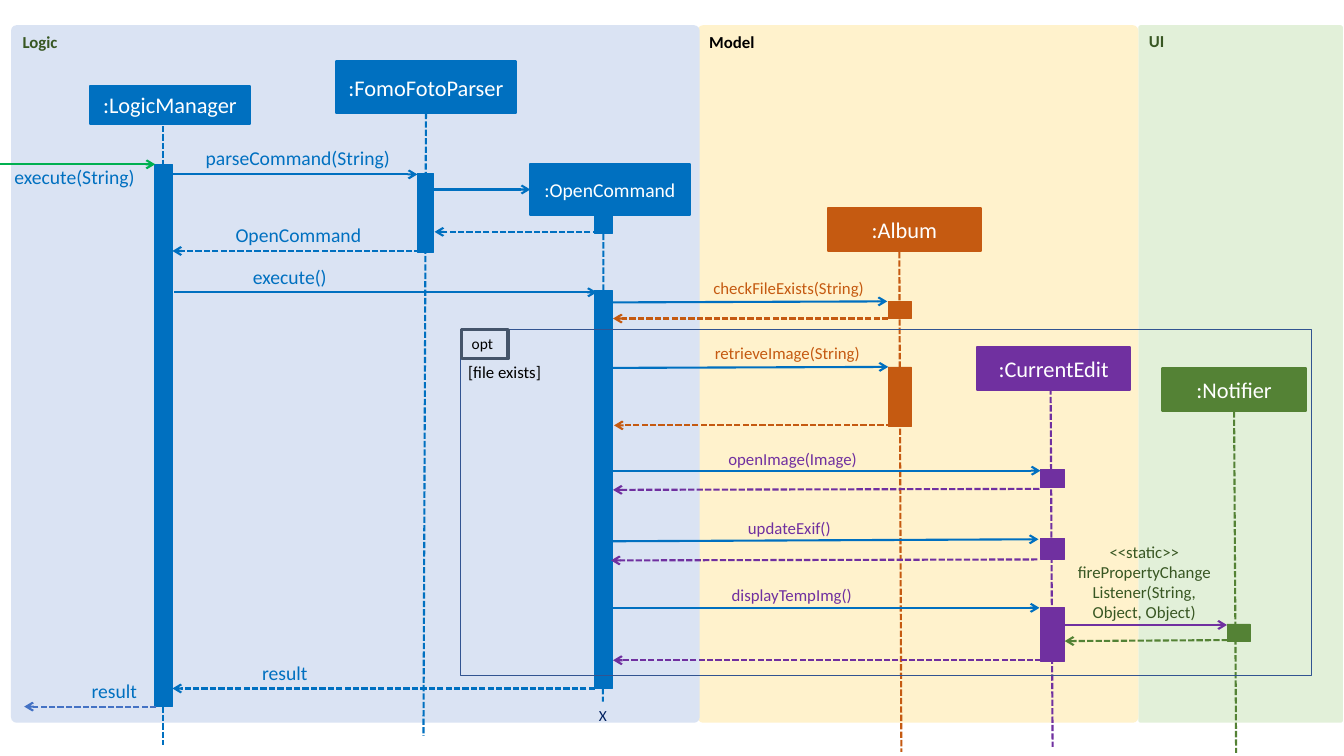
from pptx import Presentation
from pptx.dml.color import RGBColor
from pptx.enum.dml import MSO_LINE
from pptx.enum.shapes import MSO_CONNECTOR, MSO_SHAPE
from pptx.enum.text import MSO_ANCHOR, MSO_AUTO_SIZE, PP_ALIGN
from pptx.oxml.ns import qn
from pptx.util import Inches, Pt
from lxml.etree import SubElement

BLUE, ORANGE, PURPLE, GREEN = "0070C0", "C55A11", "7030A0", "548235"
DARK_GREEN, BLACK, WHITE = "385723", "000000", "FFFFFF"
LEFT, CENTER, RIGHT = PP_ALIGN.LEFT, PP_ALIGN.CENTER, PP_ALIGN.RIGHT


def rgb(value):
    """Turn a hex string into a colour."""
    return RGBColor.from_string(value)


class SequenceDiagram:
    """Draws the parts of a sequence diagram on one slide."""

    font = "Calibri"
    line_width = 1.5

    def __init__(self, page):
        """Keep the slide to draw on."""
        self.shapes = page.shapes

    def fill_text(self, shape, text, size, color, align=LEFT, bold=False, anchor=MSO_ANCHOR.TOP):
        """Put styled text into a shape."""
        frame = shape.text_frame
        frame.text = text
        frame.word_wrap = True
        frame.vertical_anchor = anchor
        for para in frame.paragraphs:
            para.alignment = align
            para.font.name = self.font
            para.font.size = Pt(size)
            para.font.bold = bold
            para.font.color.rgb = rgb(color)

    def block(self, left, top, width, height, fill=None, line=None, weight=0.5,
              kind=MSO_SHAPE.RECTANGLE):
        """Add a plain preset shape."""
        box = self.shapes.add_shape(kind, Inches(left), Inches(top), Inches(width), Inches(height))
        box.shadow.inherit = False
        if fill:
            box.fill.solid()
            box.fill.fore_color.rgb = rgb(fill)
        else:
            box.fill.background()
        if line:
            box.line.color.rgb = rgb(line)
            box.line.width = Pt(weight)
        else:
            box.line.fill.background()
        return box

    def panel(self, name, left, width, fill, color, rounding):
        """Add a titled component background."""
        box = self.block(left, 0.25, width, 6.92, fill, kind=MSO_SHAPE.ROUNDED_RECTANGLE)
        box.adjustments[0] = rounding
        self.fill_text(box, name, 12, color, bold=True)

    def participant(self, name, left, top, width, height, color, size=16):
        """Add a participant header."""
        box = self.block(left, top, width, height, color, color, self.line_width)
        self.fill_text(box, name, size, WHITE, CENTER, anchor=MSO_ANCHOR.MIDDLE)
        return box

    def connect(self, start, end, color, dashed=False, arrow=True):
        """Add a straight line, dashed or solid, with an optional arrowhead."""
        line = self.shapes.add_connector(MSO_CONNECTOR.STRAIGHT, *map(Inches, start + end))
        line.line.color.rgb = rgb(color)
        line.line.width = Pt(self.line_width)
        if dashed:
            line.line.dash_style = MSO_LINE.SQUARE_DOT
        properties = line._element.spPr
        if arrow:
            SubElement(properties.find(qn("a:ln")), qn("a:tailEnd"), type="arrow")
        SubElement(properties, qn("a:effectLst"))
        return line

    def label(self, text, left, top, width, color, size=12, align=RIGHT, height=0.2, inset=0):
        """Add a text box."""
        box = self.shapes.add_textbox(Inches(left), Inches(top), Inches(width), Inches(height))
        self.fill_text(box, text, size, color, align)
        frame = box.text_frame
        frame.auto_size = MSO_AUTO_SIZE.SHAPE_TO_FIT_TEXT
        frame.margin_left = frame.margin_right = Inches(inset)
        frame.margin_top = frame.margin_bottom = Inches(inset / 2)


PANELS = [
    ("UI", 11.29, 2.03, "E2F0D9", DARK_GREEN, 0.012),
    ("Model", 6.92, 4.37, "FFF2CC", BLACK, 0.012),
    ("Logic", 0.11, 6.83, "DAE3F3", DARK_GREEN, 0.008),
]
PARTICIPANTS = [
    (":LogicManager", 0.89, 0.85, 1.59, 0.38, BLUE),
    (":FomoFotoParser", 3.33, 0.61, 1.79, 0.51, BLUE),
    (":OpenCommand", 5.26, 1.63, 1.58, 0.5, BLUE, 14),
    (":Album", 8.21, 2.06, 1.52, 0.43, ORANGE),
    (":CurrentEdit", 9.69, 3.44, 1.52, 0.43, PURPLE),
    (":Notifier", 11.53, 3.65, 1.42, 0.43, GREEN),
]
LIFELINES = [
    ((1.62, 1.25), (1.62, 7.39), BLUE, None),
    ((4.22, 1.12), (4.2, 7.3), BLUE, ":FomoFotoParser"),
    ((5.98, 2.32), (5.98, 6.96), BLUE, "creation"),
    ((8.92, 2.5), (8.94, 7.46), ORANGE, None),
    ((10.42, 3.77), (10.44, 7.41), PURPLE, None),
    ((12.24, 4.08), (12.26, 7.47), GREEN, ":Notifier"),
]
ACTIVATIONS = [
    (1.53, 0.18, BLUE, [(1.63, 5.38)]),
    (4.14, 0.16, BLUE, [(1.72, 0.78)]),
    (5.9, 0.17, BLUE, [(2.88, 3.95)]),
    (8.81, 0.23, ORANGE, [(2.99, 0.17), (3.64, 0.59)]),
    (10.32, 0.24, PURPLE, [(4.66, 0.18), (5.34, 0.21), (6.03, 0.53)]),
    (12.17, 0.23, GREEN, [(6.19, 0.17)]),
]
CALLS = [
    ((-0.25, 1.63), (1.54, 1.63), "00B050"),
    ((1.67, 1.73), (4.14, 1.73), BLUE),
    ((1.73, 2.9), (5.92, 2.9), BLUE),
    ((6.07, 3), (8.8, 2.99), BLUE),
    ((6.01, 3.65), (8.81, 3.64), BLUE),
    ((6.03, 4.67), (10.32, 4.67), BLUE),
    ((6.07, 5.37), (10.3, 5.35), BLUE),
    ((6.07, 6.03), (10.31, 6.03), BLUE),
    ((10.56, 6.2), (12.17, 6.2), PURPLE),
]
RETURNS = [
    ((5.94, 2.3), (4.31, 2.3), BLUE),
    ((4.17, 2.49), (1.71, 2.49), BLUE),
    ((8.81, 3.16), (6.08, 3.16), ORANGE),
    ((8.93, 4.22), (6.09, 4.22), ORANGE),
    ((10.31, 4.85), (6.08, 4.86), PURPLE),
    ((10.29, 5.55), (6.06, 5.56), PURPLE),
    ((12.18, 6.35), (10.56, 6.36), GREEN),
    ((10.33, 6.55), (6.08, 6.55), PURPLE),
    ((5.9, 6.83), (1.71, 6.83), BLUE),
    ((1.55, 7.01), (0.24, 7.01), "4472C4"),
]
LABELS = [
    ("execute(String)", -0.12, 1.64, 1.72, BLUE, 14, CENTER, 0.24),
    ("parseCommand(String)", 1.6, 1.45, 2.27, BLUE, 14, RIGHT, 0.24),
    ("OpenCommand", 1.73, 2.21, 2.46, BLUE, 14, CENTER, 0.24),
    ("execute()", 0.91, 2.63, 3.93, BLUE, 14, CENTER, 0.24),
    ("result", 2.37, 6.56, 0.68, BLUE, 14, RIGHT, 0.24),
    ("result", 0.53, 6.74, 0.83, BLUE, 14, RIGHT, 0.24),
    ("checkFileExists(String)", 6.34, 2.76, 2.23, ORANGE),
    ("retrieveImage(String)", 6.33, 3.4, 2.2, ORANGE),
    ("openImage(Image)", 6.94, 4.45, 1.56, PURPLE),
    ("updateExif()", 6.68, 5.14, 1.56, PURPLE),
    ("displayTempImg()", 6.89, 5.8, 1.56, PURPLE),
    ("[file exists]", 4.17, 3.59, 1.67, BLACK, 12, CENTER),
    ("<<static>>\nfirePropertyChangeListener(String, Object, Object)",
     10.67, 5.37, 1.36, DARK_GREEN, 12, CENTER, 0.81),
    ("X", 5.84, 6.96, 0.28, "002060", 11, LEFT, 0.29, 0.1),
]


def main():
    """Build and save the slide."""
    deck = Presentation()
    deck.slide_width, deck.slide_height = Inches(13.33), Inches(7.5)
    diagram = SequenceDiagram(deck.slides.add_slide(deck.slide_layouts[6]))

    for panel in PANELS:
        diagram.panel(*panel)
    anchors = {"creation": diagram.block(5.9, 2.02, 0.17, 0.3, BLUE, BLUE)}
    for participant in PARTICIPANTS:
        anchors[participant[0]] = diagram.participant(*participant)
    for start, end, color, anchor in LIFELINES:
        lifeline = diagram.connect(start, end, color, dashed=True, arrow=False)
        if anchor:
            lifeline.begin_connect(anchors[anchor], 2)
    for left, width, color, spans in ACTIVATIONS:
        for top, height in spans:
            diagram.block(left, top, width, height, color, color)

    diagram.block(4.57, 3.27, 8.44, 3.43, line="325491", weight=1)
    option = diagram.block(4.58, 3.27, 0.46, 0.29, line="44546A", weight=2.25)
    diagram.fill_text(option, "opt", 11, BLACK)

    for call in CALLS:
        diagram.connect(*call)
    create = diagram.connect((4.26, 1.88), (5.26, 1.88), BLUE)
    create.end_connect(anchors[":OpenCommand"], 1)
    for reply in RETURNS:
        diagram.connect(*reply, dashed=True)
    for label in LABELS:
        diagram.label(*label)

    deck.save("out.pptx")


if __name__ == "__main__":
    main()
